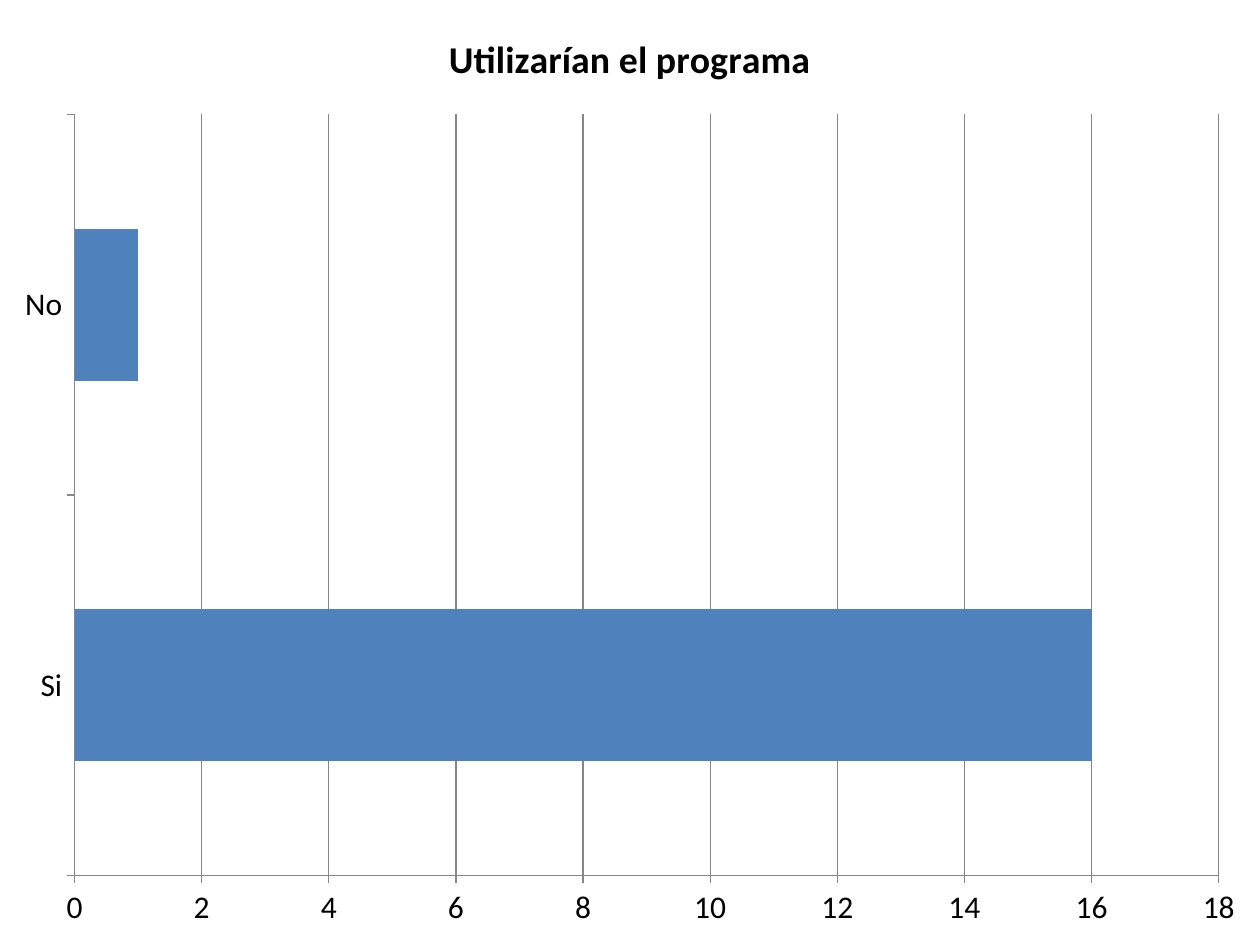
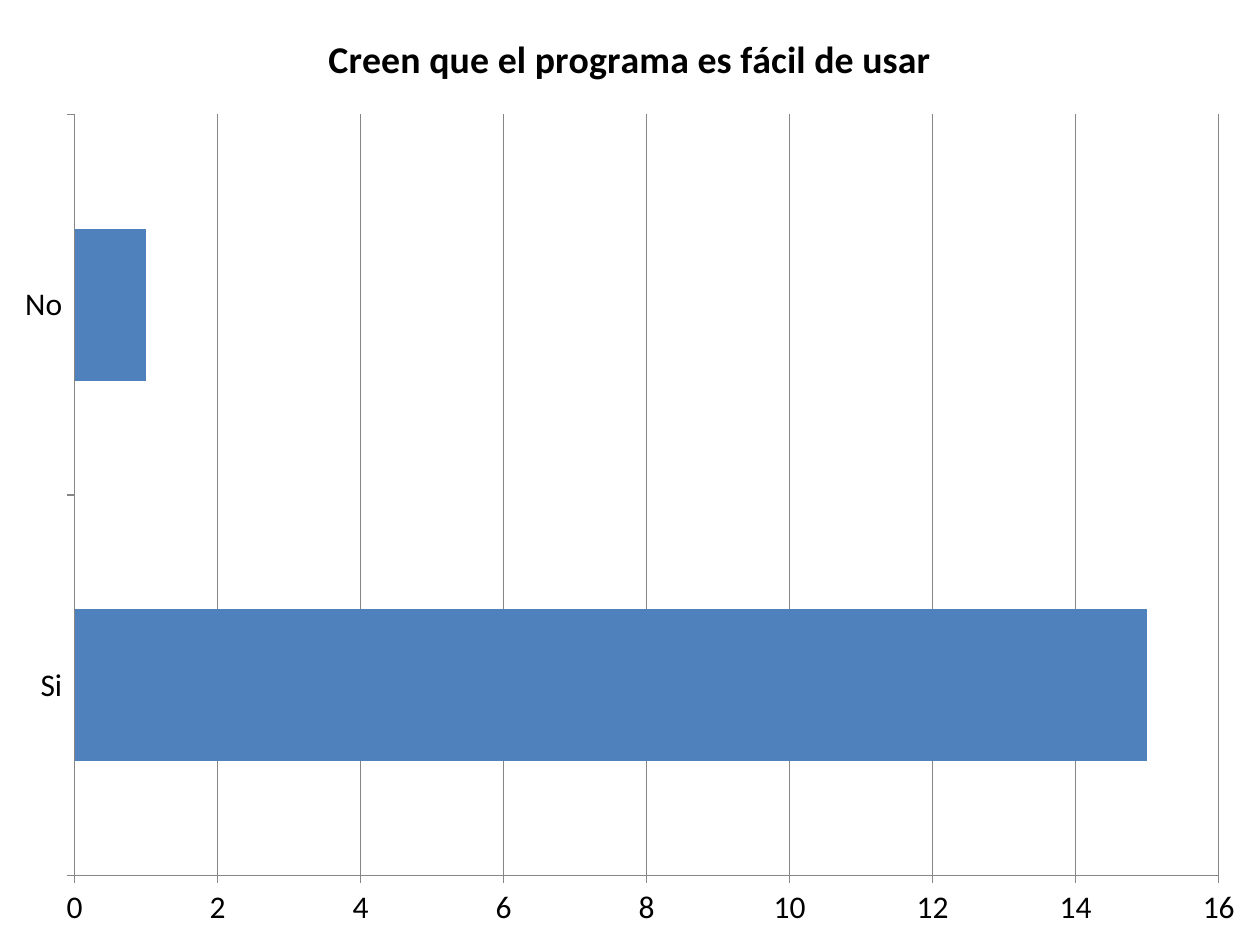
import pptx
import pptx.chart.data
import pptx.dml.color
import pptx.enum.chart
import pptx.util

ANSWERS = ("Si", "No")
SURVEY = [
    {"title": "Utilizarían el programa", "votes": (16, 1), "axis_end": 18},
    {"title": "Creen que el programa es fácil de usar", "votes": (15, 1), "axis_end": 16},
]
FONT = "Calibri"
TEXT, BAR, RULE, PAPER = "000000", "4F81BD", "868686", "FFFFFF"
WIDTH, HEIGHT = pptx.util.Cm(25.4), pptx.util.Cm(19.05)


def colour(value):
    return pptx.dml.color.RGBColor.from_string(value)


def set_font(font, size, bold=False):
    font.name = FONT
    font.size = pptx.util.Pt(size)
    font.bold = bold
    font.color.rgb = colour(TEXT)


def set_line(line):
    line.color.rgb = colour(RULE)
    line.width = pptx.util.Pt(0.75)


def add_title(chart, title):
    chart.has_title = True
    chart.chart_title.include_in_layout = False
    para = chart.chart_title.text_frame.paragraphs[0]
    para.text = title
    set_font(para.font, 21.6, bold=True)


def style_axes(chart, axis_end):
    for axis in (chart.category_axis, chart.value_axis):
        axis.major_tick_mark = pptx.enum.chart.XL_TICK_MARK.OUTSIDE
        axis.minor_tick_mark = pptx.enum.chart.XL_TICK_MARK.NONE
        set_font(axis.tick_labels.font, 18)
        set_line(axis.format.line)
    scale = chart.value_axis
    scale.minimum_scale = 0
    scale.maximum_scale = axis_end
    scale.major_unit = 2
    scale.has_major_gridlines = True
    set_line(scale.major_gridlines.format.line)


def style_bars(chart):
    plot = chart.plots[0]
    plot.gap_width = 150
    plot.overlap = 100
    plot.vary_by_categories = False
    fill = plot.series[0].format.fill
    fill.solid()
    fill.fore_color.rgb = colour(BAR)


def add_question(deck, question):
    page = deck.slides.add_slide(deck.slide_layouts[6])
    page.background.fill.solid()
    page.background.fill.fore_color.rgb = colour(PAPER)
    data = pptx.chart.data.CategoryChartData()
    data.categories = ANSWERS
    data.add_series("Series 1", question["votes"])
    chart = page.shapes.add_chart(
        pptx.enum.chart.XL_CHART_TYPE.BAR_STACKED, 0, 0, WIDTH, HEIGHT, data
    ).chart
    chart.has_legend = False
    set_font(chart.font, 18)
    add_title(chart, question["title"])
    style_axes(chart, question["axis_end"])
    style_bars(chart)


def main():
    deck = pptx.Presentation()
    deck.slide_width, deck.slide_height = WIDTH, HEIGHT
    for question in SURVEY:
        add_question(deck, question)
    deck.save("out.pptx")


if __name__ == "__main__":
    main()
